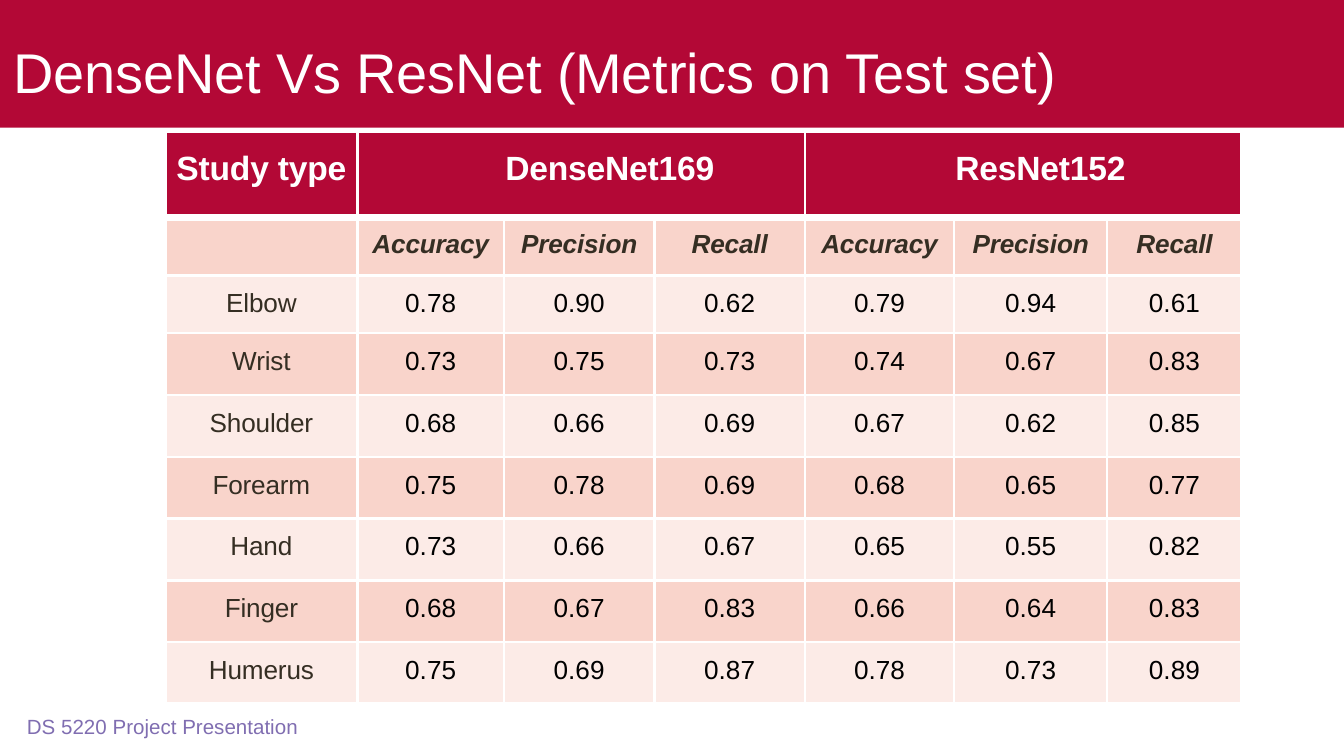
from lxml.etree import SubElement
from pptx import Presentation
from pptx.dml.color import RGBColor
from pptx.enum.shapes import MSO_SHAPE as Shape
from pptx.enum.text import PP_ALIGN as Align
from pptx.oxml.ns import qn
from pptx.util import Inches, Pt

WHITE = RGBColor(0xFF, 0xFF, 0xFF)
BLACK = RGBColor(0x00, 0x00, 0x00)
CRIMSON = RGBColor(0xB3, 0x08, 0x36)
ROSE = RGBColor(0xF9, 0xD4, 0xCB)
BLUSH = RGBColor(0xFC, 0xEB, 0xE7)
BROWN = RGBColor(0x35, 0x2E, 0x23)
PURPLE = RGBColor(0x80, 0x6E, 0xB1)

SLIDE_W = 10
SLIDE_H = SLIDE_W * 9 / 16
COL_WIDTHS = [1.43, 1.09, 1.12, 1.12, 1.11, 1.14, 1]
ROW_HEIGHTS = [0.64, 0.43, 0.43] + [0.46] * 5 + [0.45]
THIN, THICK = 1.5, 4.25

# Header text, first column, number of columns, left inset
GROUPS = [("Study type", 0, 1, 0),
          ("DenseNet169", 1, 3, 1.1),
          ("ResNet152", 4, 3, 1.12)]
METRICS = ["Accuracy", "Precision", "Recall"]
RESULTS = [
    ("Elbow", "0.78", "0.90", "0.62", "0.79", "0.94", "0.61"),
    ("Wrist", "0.73", "0.75", "0.73", "0.74", "0.67", "0.83"),
    ("Shoulder", "0.68", "0.66", "0.69", "0.67", "0.62", "0.85"),
    ("Forearm", "0.75", "0.78", "0.69", "0.68", "0.65", "0.77"),
    ("Hand", "0.73", "0.66", "0.67", "0.65", "0.55", "0.82"),
    ("Finger", "0.68", "0.67", "0.83", "0.66", "0.64", "0.83"),
    ("Humerus", "0.75", "0.69", "0.87", "0.78", "0.73", "0.89"),
]


def add_run(p, text, size, color, bold=False, italic=False, spacing=0):
    r = p.add_run()
    r.text = text
    font = r.font
    font.name, font.size = "Arial", Pt(size)
    font.bold, font.italic = bold, italic
    font.color.rgb = color
    if spacing:
        r._r.get_or_add_rPr().set("spc", str(round(spacing * 100)))


def set_insets(box, left=0, top=0):
    box.margin_left, box.margin_top = Inches(left), Inches(top)
    box.margin_right = box.margin_bottom = 0


def add_band(s, height):
    band = s.shapes.add_shape(Shape.RECTANGLE, 0, 0, Inches(SLIDE_W), Inches(height))
    band.shadow.inherit = False
    band.fill.solid()
    band.fill.fore_color.rgb = CRIMSON
    band.line.fill.background()


def add_text(s, box, text, size, color, top=0, spacing=0):
    tf = s.shapes.add_textbox(*map(Inches, box)).text_frame
    tf.word_wrap = True
    set_insets(tf, 0.01, top)
    p = tf.paragraphs[0]
    add_run(p, text, size, color, spacing=spacing)
    return p


def style_cell(cell, fill, top=THIN, bottom=THIN):
    tcPr = cell._tc.get_or_add_tcPr()
    for side, width in zip("LRTB", (THIN, THIN, top, bottom)):
        ln = SubElement(tcPr, qn(f"a:ln{side}"), w=str(Pt(width)))
        paint = SubElement(ln, qn("a:solidFill"))
        SubElement(paint, qn("a:srgbClr"), val=str(WHITE))
    cell.fill.solid()
    cell.fill.fore_color.rgb = fill


def write_cell(cell, text, top, before, size, color, left=0, align=Align.CENTER, **style):
    set_insets(cell, left, top)
    p = cell.text_frame.paragraphs[0]
    p.alignment = align
    p.space_before = Pt(before)
    add_run(p, text, size, color, **style)


def add_metrics_table(s, left, top):
    frame = s.shapes.add_table(len(ROW_HEIGHTS), len(COL_WIDTHS), Inches(left), Inches(top),
                               Inches(sum(COL_WIDTHS)), Inches(sum(ROW_HEIGHTS)))
    table = frame.table
    for col, width in zip(table.columns, COL_WIDTHS):
        col.width = Inches(width)
    for row, height in zip(table.rows, ROW_HEIGHTS):
        row.height = Inches(height)

    # Fills and borders, with a thick rule below the header
    for i, row in enumerate(table.rows):
        fill = CRIMSON if i == 0 else (ROSE if i % 2 else BLUSH)
        for cell in row.cells:
            style_cell(cell, fill, THICK if i == 1 else THIN, THICK if i == 0 else THIN)

    # Model names
    for text, col, span, inset in GROUPS:
        cell = table.cell(0, col)
        if span > 1:
            cell.merge(table.cell(0, col + span - 1))
        write_cell(cell, text, 0.14, 10.4, 18, WHITE, inset,
                   Align.LEFT if inset else Align.CENTER, bold=True, spacing=-0.1)

    # Metric names, once per model
    for col, text in enumerate(METRICS * 2, 1):
        write_cell(table.cell(1, col), text, 0.09, 6.2, 14, BROWN,
                   bold=True, italic=True, spacing=-0.1)

    # Study types and their scores
    for i, values in enumerate(RESULTS, 2):
        for col, text in enumerate(values):
            write_cell(table.cell(i, col), text, 0.1, 7.2, 14, BLACK if col else BROWN,
                       spacing=0 if col else -0.1)


def main():
    prs = Presentation()
    prs.slide_width, prs.slide_height = Inches(SLIDE_W), Inches(SLIDE_H)
    s = prs.slides.add_slide(prs.slide_layouts[6])

    # Title band
    add_band(s, 0.95)
    title = add_text(s, (0.09, 0.27, 8.75, 0.53), "DenseNet Vs ResNet (Metrics on Test set)",
                     30, WHITE, top=0.01, spacing=-0.1)
    title.space_before = Pt(1)

    # Footer
    footer = add_text(s, (0.19, 5.31, 2.1, 0.18), "DS 5220 Project Presentation", 11, PURPLE)
    footer.line_spacing = Pt(13.2)

    # Results
    add_metrics_table(s, 1.23, 0.98)
    prs.save("out.pptx")


if __name__ == "__main__":
    main()
